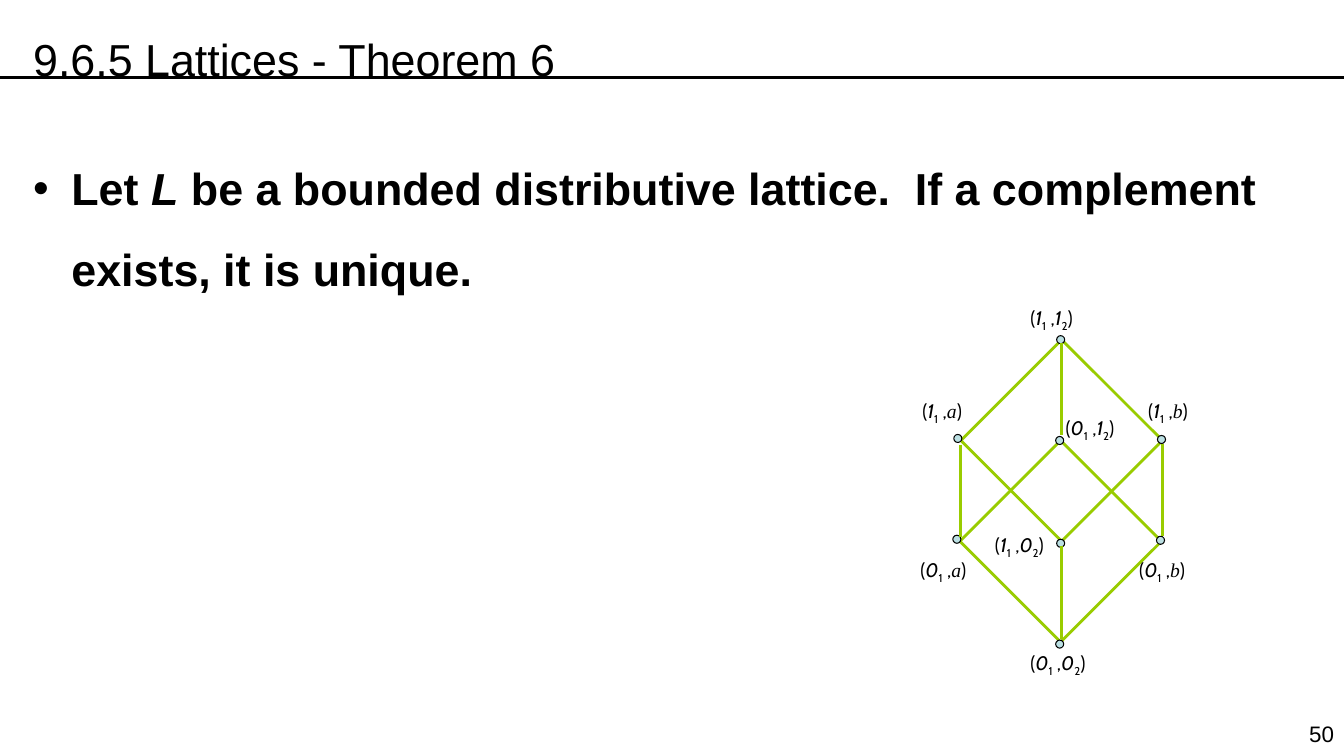
from dataclasses import dataclass

from pptx import Presentation
from pptx.dml.color import RGBColor
from pptx.enum.shapes import MSO_CONNECTOR, MSO_SHAPE
from pptx.enum.text import MSO_AUTO_SIZE, PP_ALIGN
from pptx.oxml.ns import qn
from pptx.util import Inches, Pt


@dataclass(frozen=True)
class Theme:
    ink: RGBColor = RGBColor(0x00, 0x00, 0x00)
    edge: RGBColor = RGBColor(0x99, 0xCC, 0x00)
    node: RGBColor = RGBColor(0xBB, 0xE0, 0xE3)
    main: str = "Arial"
    math: str = "Cabin"
    serif: str = "Times New Roman"
    head: int = 32
    page: int = 16
    label: int = 14


THEME = Theme()


def style(item, form):
    for name, value in form.items():
        setattr(item, name, value)


def add_run(para, text, size, **form):
    run = para.add_run()
    run.text = text
    style(run.font, {"name": THEME.main, "size": Pt(size), **form})
    run.font.color.rgb = THEME.ink
    return run


def add_box(slide, box, wrap=True, auto=MSO_AUTO_SIZE.NONE):
    """Add a text box and return its first paragraph."""
    frame = slide.shapes.add_textbox(*map(Inches, box)).text_frame
    style(frame, {"word_wrap": wrap, "auto_size": auto})
    return frame.paragraphs[0]


def add_line(slide, start, end, color):
    line = slide.shapes.add_connector(
        MSO_CONNECTOR.STRAIGHT, *map(Inches, (*start, *end)))
    line.line.color.rgb = color
    line.line.width = Pt(2.25)
    line._element.spPr.append(line._element.spPr.makeelement(qn("a:effectLst"), {}))


def add_shape(slide, kind, box, color, width, fill=None):
    shape = slide.shapes.add_shape(kind, *map(Inches, box))
    shape.shadow.inherit = False
    shape.line.color.rgb = color
    shape.line.width = Pt(width)
    if fill is None:
        shape.fill.background()
    else:
        shape.fill.solid()
        shape.fill.fore_color.rgb = fill


def add_title(slide, box, text):
    para = add_box(slide, box)
    para.line_spacing = 1.5
    add_run(para, text, THEME.head)


def add_body(slide, box, parts):
    """Add one bold bullet; parts are pairs of text and italic flag."""
    para = add_box(slide, box)
    para.line_spacing = 1.5
    props = para._p.get_or_add_pPr()
    props.set("marL", str(Inches(0.38)))
    props.set("indent", str(Inches(-0.38)))
    for tag, attrs in (("a:buFont", {"typeface": THEME.main}),
                       ("a:buChar", {"char": "•"})):
        props.append(props.makeelement(qn(tag), attrs))
    for text, italic in parts:
        add_run(para, text, THEME.head, bold=True, italic=italic)


def add_page(slide, box, text):
    para = add_box(slide, box)
    para.alignment = PP_ALIGN.RIGHT
    add_run(para, text, THEME.page)


def add_pair(slide, x, y, first, second):
    """Label a node with an ordered pair; digits get a subscript."""
    digit = second.isdigit()
    para = add_box(slide, (x, y, 0.82 if digit else 0.74, 0.33),
                   False, MSO_AUTO_SIZE.SHAPE_TO_FIT_TEXT)

    def put(text, base=0, **form):
        run = add_run(para, text, THEME.label, **{"name": THEME.math, **form})
        if base:
            run.font._element.set("baseline", str(base))

    put("(")
    put(first, italic=True)
    put("1", -25000)
    put(" ,")
    put(second, italic=True, name=THEME.math if digit else THEME.serif)
    if digit:
        put("2", -25000)
    put(")")


def add_face(slide, x, y, side):
    """Draw a diamond with a node at each corner."""
    add_shape(slide, MSO_SHAPE.DIAMOND, (x, y, side, side), THEME.edge, 2)
    half, dot = side / 2, 0.08
    for dx, dy in ((half, 0), (half, side + 0.02), (-0.02, half - 0.02),
                   (side, half - 0.01)):
        add_shape(slide, MSO_SHAPE.OVAL,
                  (x + dx - 0.05, y + dy - dot / 2, dot, dot),
                  THEME.ink, 0.75, THEME.node)


def add_lattice(slide, box):
    left, top, width, height = box
    side = 2
    x, y = left + (width - side) / 2, top + 0.38
    add_face(slide, x, y, side)
    add_face(slide, x - 0.01, y + 1, side)
    for dx, dy in ((0, 1.04), (side, 1.03), (side / 2, 2.05), (side / 2, 0.03)):
        add_line(slide, (x + dx, y + dy), (x + dx, y + dy + 0.92), THEME.edge)
    for dx, dy, first, second in (
            (1.09, 0, "1", "1"), (1.09, 3.42, "0", "0"),
            (0.02, 0.92, "1", "a"), (0, 2.5, "0", "a"),
            (2.26, 0.92, "1", "b"), (2.17, 2.5, "0", "b"),
            (1.44, 1.09, "0", "1"), (0.74, 2.25, "1", "0")):
        add_pair(slide, left + dx, top + dy, first, second)


def main():
    deck = Presentation()
    style(deck, {"slide_width": Inches(13.33), "slide_height": Inches(7.5)})
    slide = deck.slides.add_slide(deck.slide_layouts[6])
    add_line(slide, (0, 0.77), (13.33, 0.77), THEME.ink)
    add_page(slide, (12.7, 7.1, 0.63, 0.37), "50")
    add_title(slide, (0.23, 0, 12.09, 0.81), "9.6.5 Lattices - Theorem 6")
    add_body(slide, (0.23, 1.28, 12.52, 1.9), (
        ("Let ", False), ("L", True),
        (" be a bounded distributive lattice.  If a complement exists, "
         "it is unique.", False)))
    add_lattice(slide, (9.03, 2.99, 3, 3.75))
    deck.save("out.pptx")


if __name__ == "__main__":
    main()
